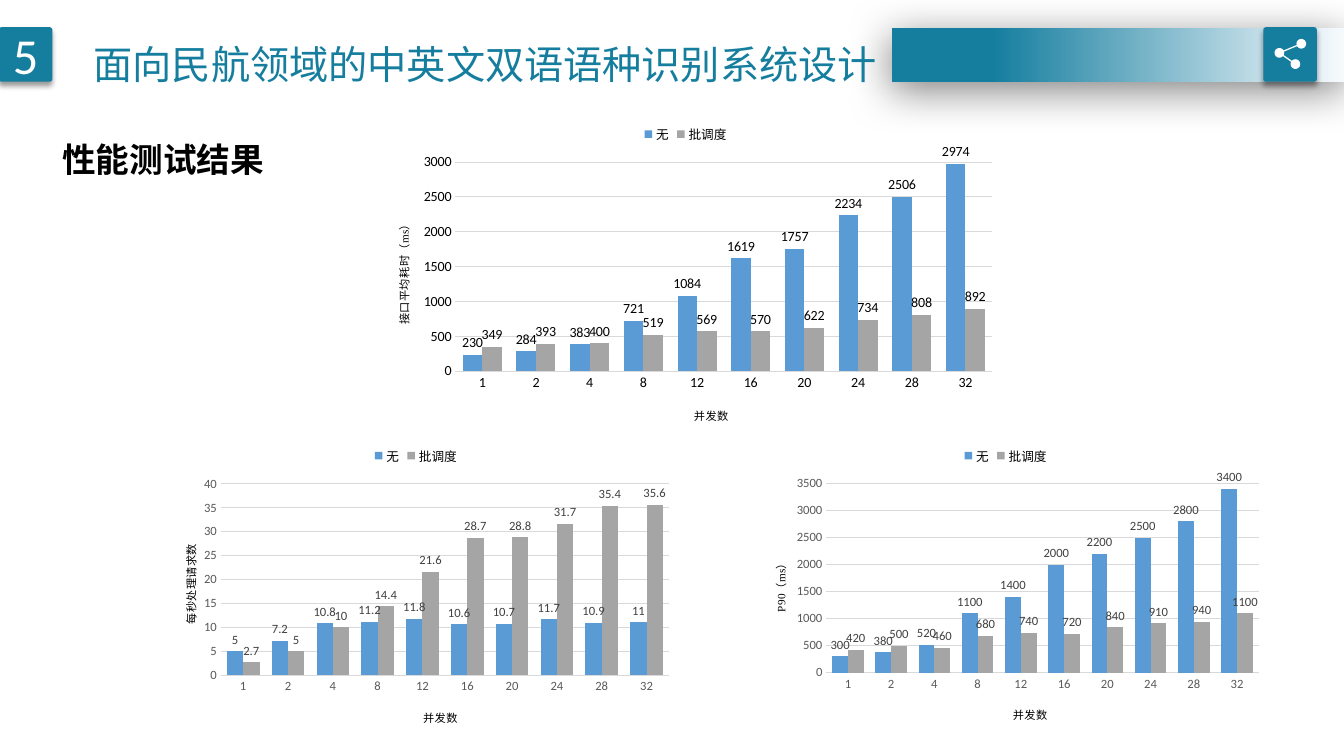
from math import atan2, cos, pi, sin

from lxml.etree import SubElement
from pptx import Presentation
from pptx.chart.data import CategoryChartData
from pptx.dml.color import RGBColor
from pptx.enum.chart import XL_CHART_TYPE, XL_LABEL_POSITION, XL_LEGEND_POSITION, XL_TICK_MARK
from pptx.enum.shapes import MSO_SHAPE
from pptx.enum.text import MSO_ANCHOR, PP_ALIGN
from pptx.oxml import parse_xml
from pptx.oxml.ns import nsdecls, qn
from pptx.util import Inches, Pt

WIDTH, HEIGHT = Inches(13.33), Inches(7.5)
COLORS = {"teal": "157E9F", "pale": "F7FAFD", "white": "FFFFFF", "black": "000000",
          "blue": "5B9BD5", "gray": "A5A5A5", "grid": "D9D9D9", "tick": "595959", "label": "404040"}
CJK, LATIN, SERIF = "Noto Sans CJK SC", "Calibri", "Times New Roman"
CONCURRENCY = ["1", "2", "4", "8", "12", "16", "20", "24", "28", "32"]


def color(name):
    """Return a palette entry as an RGB colour."""
    return RGBColor.from_string(COLORS[name])


def box(left, top, width, height):
    """Turn percentages of the slide into a position and size."""
    return [int(share * side / 100) for share, side in
            ((left, WIDTH), (top, HEIGHT), (width, WIDTH), (height, HEIGHT))]


def style(font, size, tint, name=LATIN, bold=False):
    """Set the look of a font."""
    font.size, font.name, font.bold = Pt(size), name, bold
    font.color.rgb = color(tint)


def add_block(slide, kind, area, shadow):
    """Add a teal borderless shape with a drop shadow."""
    shape = slide.shapes.add_shape(kind, *box(*area))
    shape.fill.solid()
    shape.fill.fore_color.rgb = color("teal")
    shape.line.fill.background()
    shape.shadow.inherit = False
    alpha, blur, distance, angle = shadow
    effects = shape._element.spPr.find(qn("a:effectLst"))
    effects.append(parse_xml(
        f'<a:outerShdw {nsdecls("a")} blurRad="{Pt(blur)}" dist="{Pt(distance)}" '
        f'dir="{angle * 60000}" algn="t" rotWithShape="0"><a:srgbClr val="{COLORS["black"]}">'
        f'<a:alpha val="{alpha * 1000}"/></a:srgbClr></a:outerShdw>'))
    return shape


def add_banner(slide):
    """Add the fading banner."""
    banner = add_block(slide, MSO_SHAPE.RECTANGLE, (66.39, 3.73, 33.61, 7.07), (50, 31, 6, 97))
    banner.fill.gradient()
    banner.fill.gradient_angle = 180
    for stop, (position, tint) in zip(banner.fill.gradient_stops, ((0, "pale"), (0.78, "teal"))):
        stop.position = position
        stop.color.rgb = color(tint)


def add_badge(slide, left):
    """Add a rounded square badge."""
    badge = add_block(slide, MSO_SHAPE.ROUNDED_RECTANGLE, (left, 3.6, 3.98, 7.2), (40, 4, 3, 90))
    badge.adjustments[0] = 0.05
    return badge


def add_number(badge, number):
    """Write the section number on a badge."""
    frame = badge.text_frame
    frame.text = number
    frame.vertical_anchor = MSO_ANCHOR.MIDDLE
    frame.paragraphs[0].alignment = PP_ALIGN.CENTER
    style(frame.paragraphs[0].runs[0].font, 36, "white")


def add_share_icon(slide, badge):
    """Draw a hub linked to two nodes as one outline."""
    hub, upper, lower = (0.3, 0.48), (0.71, 0.31), (0.6, 0.69)
    radius, gap, steps = 0.09, 0.13, 24
    up, down = (atan2(node[1] - hub[1], node[0] - hub[0]) for node in (upper, lower))
    arcs = [(hub, down + gap, up + 2 * pi - gap),
            (upper, up + pi + gap, up + 3 * pi - gap),
            (hub, up + gap, down - gap),
            (lower, down + pi + gap, down + 3 * pi - gap)]
    points = []
    for (x, y), start, end in arcs:
        for step in range(steps + 1):
            angle = start + (end - start) * step / steps
            points.append((badge.left + badge.width * (x + radius * cos(angle)),
                           badge.top + badge.width * (y + radius * sin(angle))))
    builder = slide.shapes.build_freeform(*points[0])
    builder.add_line_segments(points[1:], close=True)
    icon = builder.convert_to_shape()
    icon.fill.solid()
    icon.fill.fore_color.rgb = color("white")
    icon.line.fill.background()
    icon.shadow.inherit = False


def add_text(slide, area, text, size, tint, name, bold=False, wrap=True):
    """Add a line of text in its own box."""
    frame = slide.shapes.add_textbox(*box(*area)).text_frame
    frame.word_wrap = wrap
    frame.text = text
    paragraph = frame.paragraphs[0]
    paragraph.line_spacing = 1.5
    run = paragraph.runs[0]
    style(run.font, size, tint, name, bold)
    SubElement(run.font._element, qn("a:ea"), typeface=CJK)


def set_layout(parent, index, target, shares):
    """Place a chart part by shares of the chart."""
    layout = parent.find(qn("c:layout"))
    if layout is not None:
        parent.remove(layout)
    layout = parse_xml(f'<c:layout {nsdecls("c")}><c:manualLayout/></c:layout>')
    values = [("layoutTarget", target)] if target else []
    values += [("xMode", "edge"), ("yMode", "edge"), *zip("xywh", shares)]
    for tag, value in values:
        SubElement(layout[0], qn(f"c:{tag}"), val=str(value))
    parent.insert(index, layout)


def style_axis(axis, title, name, place, size, tint):
    """Format an axis and place its title."""
    axis.major_tick_mark = axis.minor_tick_mark = XL_TICK_MARK.NONE
    style(axis.tick_labels.font, size, tint)
    frame = axis.axis_title.text_frame
    frame.text = title
    style(frame.paragraphs[0].runs[0].font, 8, "black", name)
    set_layout(axis.axis_title._element, 1, None, place)
    return frame


def add_bar_chart(slide, area, plain, batched, value_title, plot_place, category_place, value_place,
                  maximum, fonts=(CJK, CJK), size=9, tick="tick", label="label"):
    """Add a column chart comparing runs without and with batch scheduling."""
    data = CategoryChartData()
    data.categories = CONCURRENCY
    data.add_series("无", plain)
    data.add_series("批调度", batched)
    chart = slide.shapes.add_chart(XL_CHART_TYPE.COLUMN_CLUSTERED, *box(*area), data).chart
    style(chart.font, 10, "black")
    chart.has_title = False
    chart.has_legend = True
    chart.legend.position = XL_LEGEND_POSITION.TOP
    chart.legend.include_in_layout = False
    style(chart.legend.font, 9, "black")
    style_axis(chart.category_axis, "并发数", fonts[0], category_place, size, tick)
    chart.category_axis.format.line.color.rgb = color("grid")
    chart.category_axis.format.line.width = Pt(0.75)
    values = chart.value_axis
    frame = style_axis(values, value_title, fonts[1], value_place, size, tick)
    frame._txBody.bodyPr.set("rot", "-5400000")
    frame._txBody.bodyPr.set("vert", "horz")
    values.minimum_scale, values.maximum_scale = 0, maximum
    values.format.line.fill.background()
    values.major_gridlines.format.line.color.rgb = color("grid")
    values.major_gridlines.format.line.width = Pt(0.75)
    plot = chart.plots[0]
    plot.gap_width, plot.overlap, plot.vary_by_categories = 75, 0, False
    for series, tint in zip(plot.series, ("blue", "gray")):
        series.format.fill.solid()
        series.format.fill.fore_color.rgb = color(tint)
        labels = series.data_labels
        labels.show_value = True
        labels.position = XL_LABEL_POSITION.OUTSIDE_END
        style(labels.font, size, label)
    set_layout(chart._chartSpace.chart.plotArea, 0, "inner", plot_place)


def main():
    """Build the performance test slide."""
    presentation = Presentation()
    presentation.slide_width, presentation.slide_height = WIDTH, HEIGHT
    slide = presentation.slides.add_slide(presentation.slide_layouts[6])
    add_banner(slide)
    add_number(add_badge(slide, -0.08), "5")
    add_share_icon(slide, add_badge(slide, 94))
    add_text(slide, (6.23, 1.6, 61.59, 9.6), "面向民航领域的中英文双语语种识别系统设计",
             28, "teal", CJK, wrap=False)
    add_bar_chart(slide, (11.33, 57.6, 39.23, 40.13),
                  [5, 7.2, 10.8, 11.2, 11.8, 10.6, 10.7, 11.7, 10.9, 11],
                  [2.7, 5, 10, 14.4, 21.6, 28.7, 28.8, 31.7, 35.4, 35.6], "每秒处理请求数",
                  (0.13, 0.16, 0.85, 0.63), (0.51, 0.89), (0.05, 0.35), 40)
    add_bar_chart(slide, (55.21, 57.6, 39.23, 39.73),
                  [300, 380, 520, 1100, 1400, 2000, 2200, 2500, 2800, 3400],
                  [420, 500, 460, 680, 740, 720, 840, 910, 940, 1100], "P90（ms）",
                  (0.16, 0.16, 0.82, 0.63), (0.51, 0.89), (0.05, 0.4), 3500, (CJK, SERIF))
    add_bar_chart(slide, (27.23, 15.07, 47.56, 42.53),
                  [230, 284, 383, 721, 1084, 1619, 1757, 2234, 2506, 2974],
                  [349, 393, 400, 519, 569, 570, 622, 734, 808, 892], "接口平均耗时（ms）",
                  (0.14, 0.15, 0.84, 0.65), (0.51, 0.9), (0.04, 0.32), 3000, (SERIF, SERIF),
                  10, "black", "black")
    add_text(slide, (3.9, 15.07, 16.88, 8.53), "性能测试结果", 24, "black", LATIN, bold=True)
    presentation.save("out.pptx")


if __name__ == "__main__":
    main()
